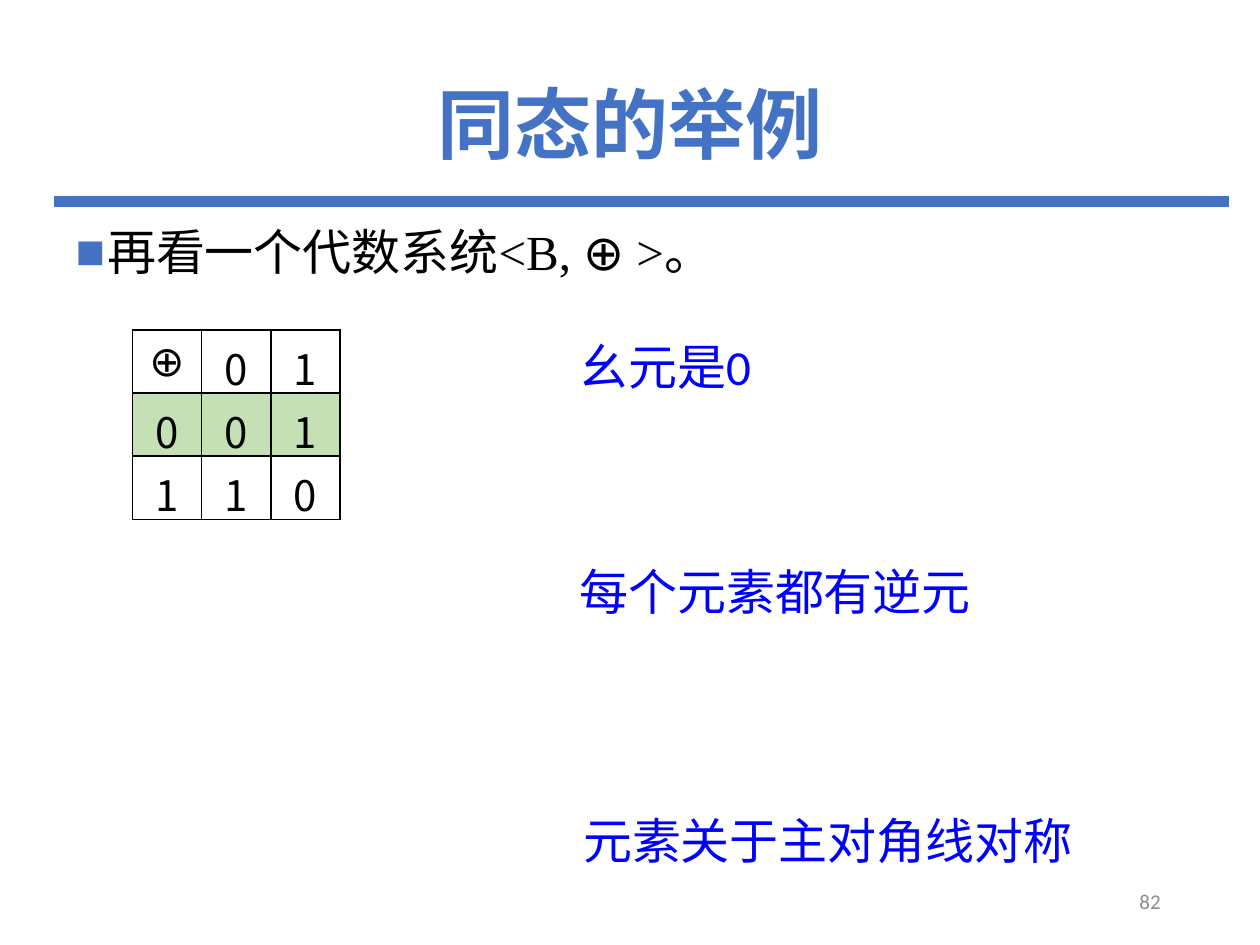
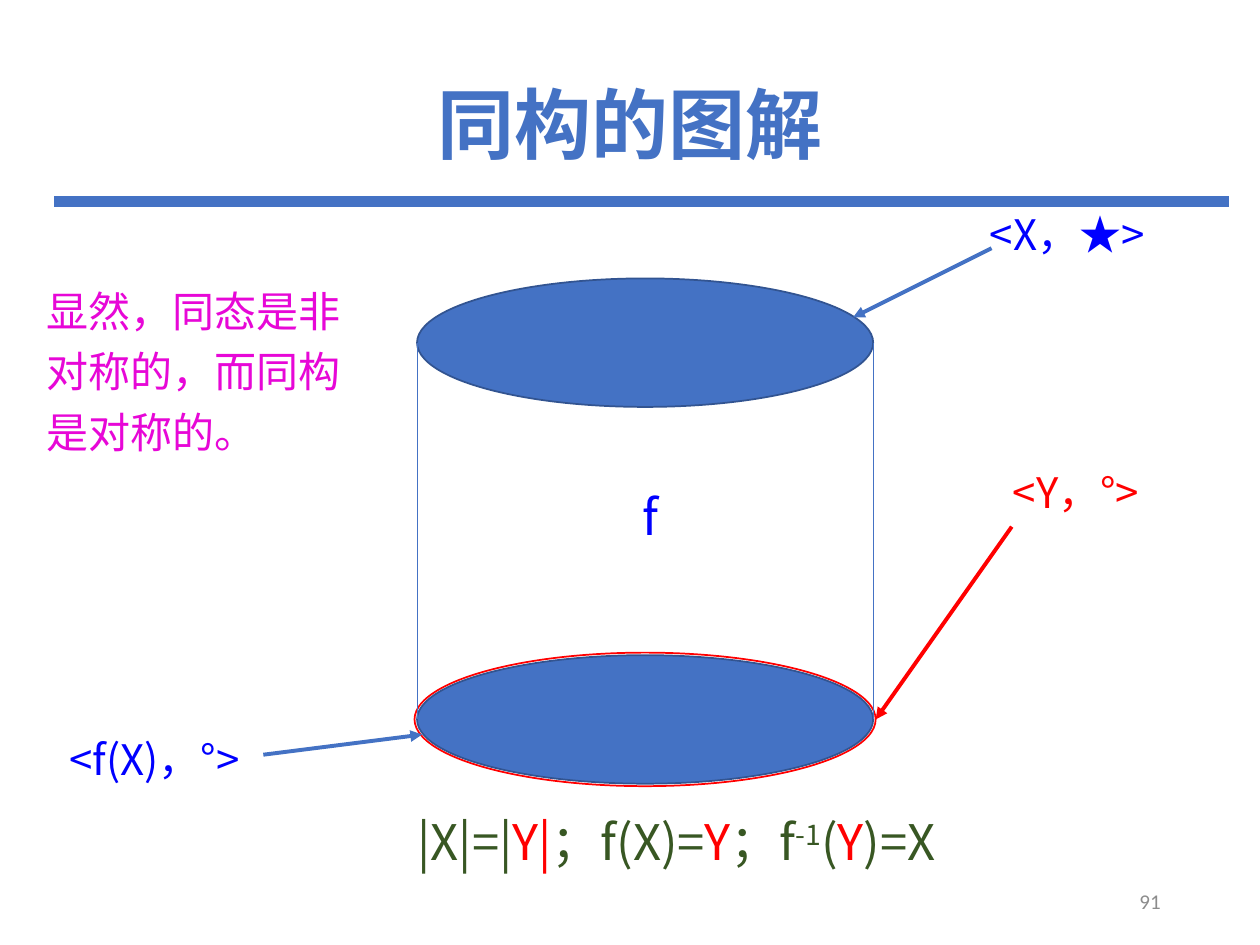
from collections import namedtuple

from lxml.etree import SubElement
from pptx import Presentation
from pptx.dml.color import RGBColor
from pptx.enum.shapes import MSO_CONNECTOR, MSO_SHAPE
from pptx.enum.text import MSO_ANCHOR, PP_ALIGN
from pptx.oxml.ns import qn
from pptx.util import Inches, Pt

COLORS = {
    "accent": "4472C4",
    "outline": "325491",
    "black": "000000",
    "blue": "0000FF",
    "red": "FF0000",
    "magenta": "E707D7",
    "green": "385723",
    "highlight": "C5E0B4",
    "grey": "8C8C8C",
}
CJK = "Noto Sans CJK SC"
LATIN = "Calibri"
SERIF = "Times New Roman"

Box = namedtuple("Box", "left top width height")
Style = namedtuple("Style", "size font color bold", defaults=[False])

TITLE_BOX = Box(0.69, 0.4, 8.62, 1.24)
BODY_BOX = Box(0.5, 1.76, 9.28, 5.59)
NUMBER_BOX = Box(7.06, 6.95, 2.25, 0.4)


def rgb(name):
    """Return the named colour."""
    return RGBColor.from_string(COLORS[name])


def inches(box):
    """Return the four measures of a box as lengths."""
    return [Inches(value) for value in box]


def format_span(span, style):
    """Apply size, colour and typefaces to a run."""
    span.font.size = Pt(style.size)
    span.font.bold = style.bold
    span.font.color.rgb = rgb(style.color)
    span.font.name = style.font
    SubElement(span.font._element, qn("a:ea")).set("typeface", CJK)


def add_spans(para, pieces):
    """Add runs given as pairs of text and style."""
    for text, style in pieces:
        span = para.add_run()
        span.text = text
        format_span(span, style)


def add_text(page, box, pieces, align=PP_ALIGN.CENTER, anchor=MSO_ANCHOR.MIDDLE):
    """Add a wrapped text box and return its paragraph."""
    frame = page.shapes.add_textbox(*inches(box)).text_frame
    frame.word_wrap = True
    frame.vertical_anchor = anchor
    para = frame.paragraphs[0]
    para.alignment = align
    add_spans(para, pieces)
    return para


def add_line(page, start, end, color, width, arrow=False):
    """Add a straight connector, with an arrowhead at its end if wanted."""
    points = [Inches(value) for value in (*start, *end)]
    line = page.shapes.add_connector(MSO_CONNECTOR.STRAIGHT, *points)
    line.line.color.rgb = rgb(color)
    line.line.width = Pt(width)
    if arrow:
        SubElement(line.line._get_or_add_ln(), qn("a:tailEnd")).set("type", "triangle")
    SubElement(line._element.spPr, qn("a:effectLst"))


def add_ellipse(page, box, line_color, fill_color=None):
    """Add an ellipse, hollow unless a fill colour is given."""
    ellipse = page.shapes.add_shape(MSO_SHAPE.OVAL, *inches(box))
    ellipse.shadow.inherit = False
    ellipse.line.color.rgb = rgb(line_color)
    ellipse.line.width = Pt(1)
    if fill_color:
        ellipse.fill.solid()
        ellipse.fill.fore_color.rgb = rgb(fill_color)
    else:
        ellipse.fill.background()


def move(shape, box):
    """Place a shape in a box."""
    shape.left, shape.top, shape.width, shape.height = inches(box)


def add_page(deck, layout, title, number):
    """Add a slide with title, rule and page number."""
    page = deck.slides.add_slide(deck.slide_layouts.get_by_name(layout))
    move(page.shapes.title, TITLE_BOX)
    frame = page.shapes.title.text_frame
    frame.text = title
    frame.vertical_anchor = MSO_ANCHOR.MIDDLE
    para = frame.paragraphs[0]
    para.alignment = PP_ALIGN.CENTER
    para.line_spacing = 0.9
    format_span(para.runs[0], Style(44, CJK, "accent", True))
    add_line(page, (0.43, 1.6), (9.75, 1.6), "accent", 6)
    add_text(page, NUMBER_BOX, [(number, Style(12, LATIN, "grey"))], PP_ALIGN.RIGHT)
    return page


def fill_body(page, box, pieces):
    """Write one square-bulleted item in the body placeholder."""
    body = page.placeholders[1]
    move(body, box)
    para = body.text_frame.paragraphs[0]
    para.line_spacing = 0.9
    para.space_before = Pt(0)
    para.space_after = Pt(24)
    properties = para._p.get_or_add_pPr()
    properties.set("marL", str(Inches(0.25)))
    properties.set("indent", str(Inches(-0.25)))
    bullet_color = SubElement(properties, qn("a:buClr"))
    SubElement(bullet_color, qn("a:srgbClr")).set("val", COLORS["accent"])
    SubElement(properties, qn("a:buChar")).set("char", "■")
    add_spans(para, pieces)


def add_borders(cell):
    """Draw thin black lines on all sides of a cell."""
    properties = cell._tc.get_or_add_tcPr()
    for index, side in enumerate(("lnL", "lnR", "lnT", "lnB")):
        line = properties.makeelement(qn(f"a:{side}"), {"w": str(Pt(1))})
        fill = SubElement(line, qn("a:solidFill"))
        SubElement(fill, qn("a:srgbClr")).set("val", COLORS["black"])
        properties.insert(index, line)


def add_operation_table(page, box, rows, marked_row):
    """Add the operation table with one row highlighted."""
    size = len(rows)
    table = page.shapes.add_table(size, size, *inches(box)).table
    table.first_row = table.horz_banding = False
    for row_index, row in enumerate(rows):
        table.rows[row_index].height = Inches(box.height / size)
        table.columns[row_index].width = Inches(box.width / size)
        for column_index, text in enumerate(row):
            cell = table.cell(row_index, column_index)
            cell.vertical_anchor = MSO_ANCHOR.MIDDLE
            if row_index == marked_row:
                cell.fill.solid()
                cell.fill.fore_color.rgb = rgb("highlight")
            else:
                cell.fill.background()
            add_borders(cell)
            para = cell.text_frame.paragraphs[0]
            para.alignment = PP_ALIGN.CENTER
            font = LATIN if text == "⊕" else CJK
            add_spans(para, [(text, Style(24, font, "black"))])


def add_cylinder(page, box, rim):
    """Draw the mapping as two ellipses joined by side lines."""
    right = box.left + box.width
    low = box.top + box.height - rim
    upper = Box(box.left, box.top, box.width, rim)
    lower = upper._replace(top=low)
    ring = Box(box.left - 0.02, low - 0.02, box.width + 0.04, rim + 0.04)
    add_ellipse(page, upper, "outline", "accent")
    add_ellipse(page, ring, "red")
    add_ellipse(page, lower, "outline", "accent")
    for side in (box.left, right):
        add_line(page, (side, box.top + rim / 2), (side, low + rim / 2), "accent", 0.5)
    middle = Box(box.left + 1.18, box.top + 1.65, 1.34, 0.47)
    add_text(page, middle, [("f", Style(28, CJK, "blue"))])


def add_callouts(page, box):
    """Label the ellipses of the cylinder with arrows."""
    callouts = [
        ("<f(X)，°>", "blue", "accent", (-3.15, 3.54, 2.13), (-1.22, 3.78), (0.04, 3.62)),
        ("<X，★>", "blue", "accent", (3.86, -0.63, 2.6), (4.56, -0.24), (3.46, 0.31)),
        ("<Y，°>", "red", "red", (3.93, 1.42, 2.6), (4.72, 1.97), (3.64, 3.5)),
    ]
    for text, color, arrow_color, (left, top, width), start, end in callouts:
        label = Box(box.left + left, box.top + top, width, 0.55)
        add_text(page, label, [(text, Style(24, CJK, color))])
        ends = [(box.left + x, box.top + y) for x, y in (start, end)]
        add_line(page, *ends, arrow_color, 2.25, arrow=True)


def add_formula(page, box):
    """Write the conditions for an isomorphism."""
    green, red = (Style(28, CJK, color) for color in ("green", "red"))
    pieces = [
        ("|X|=|", green), ("Y|", red), ("；f(X)=", green), ("Y", red),
        ("；f", green), ("-1", green), ("(", green), ("Y", red), (")=X", green),
    ]
    para = add_text(page, box, pieces)
    para.runs[5].font._element.set("baseline", "30000")


def build_example(deck):
    """Build the slide with the homomorphism example."""
    page = add_page(deck, "Title and Content", "同态的举例", "82")
    serif = Style(28, SERIF, "black")
    symbol = serif._replace(font=LATIN)
    fill_body(page, BODY_BOX, [("再看一个代数系统<B, ", serif), ("⊕", symbol), (" >。", serif)])
    add_operation_table(page, Box(1.05, 2.62, 1.65, 1.41), ["⊕01", "001", "110"], 1)
    remarks = [
        ("幺元是0", Box(4.5, 2.62, 1.58, 0.57)),
        ("每个元素都有逆元", Box(4.5, 4.41, 3.34, 0.57)),
        ("元素关于主对角线对称", Box(4.53, 6.38, 4.13, 0.57)),
    ]
    for text, box in remarks:
        pieces = [(text, Style(28, LATIN, "blue"))]
        para = add_text(page, box, pieces, PP_ALIGN.LEFT, MSO_ANCHOR.TOP)
        para.space_after = Pt(24)


def build_diagram(deck):
    """Build the slide with the isomorphism diagram."""
    page = add_page(deck, "Title Only", "同构的图解", "91")
    cylinder = Box(3.31, 2.21, 3.62, 4.01)
    add_cylinder(page, cylinder, 1.02)
    add_callouts(page, cylinder)
    add_formula(page, Box(2.87, 6.37, 5, 0.61))
    remark = [("显然，同态是非对称的，而同构是对称的。", Style(24, CJK, "magenta"))]
    para = add_text(page, Box(0.27, 2.04, 2.6, 1.73), remark, PP_ALIGN.LEFT)
    para.line_spacing = 1.2


def main():
    """Build and save the deck."""
    deck = Presentation()
    deck.slide_width, deck.slide_height = Inches(10), Inches(7.5)
    build_example(deck)
    build_diagram(deck)
    deck.save("out.pptx")


if __name__ == "__main__":
    main()
